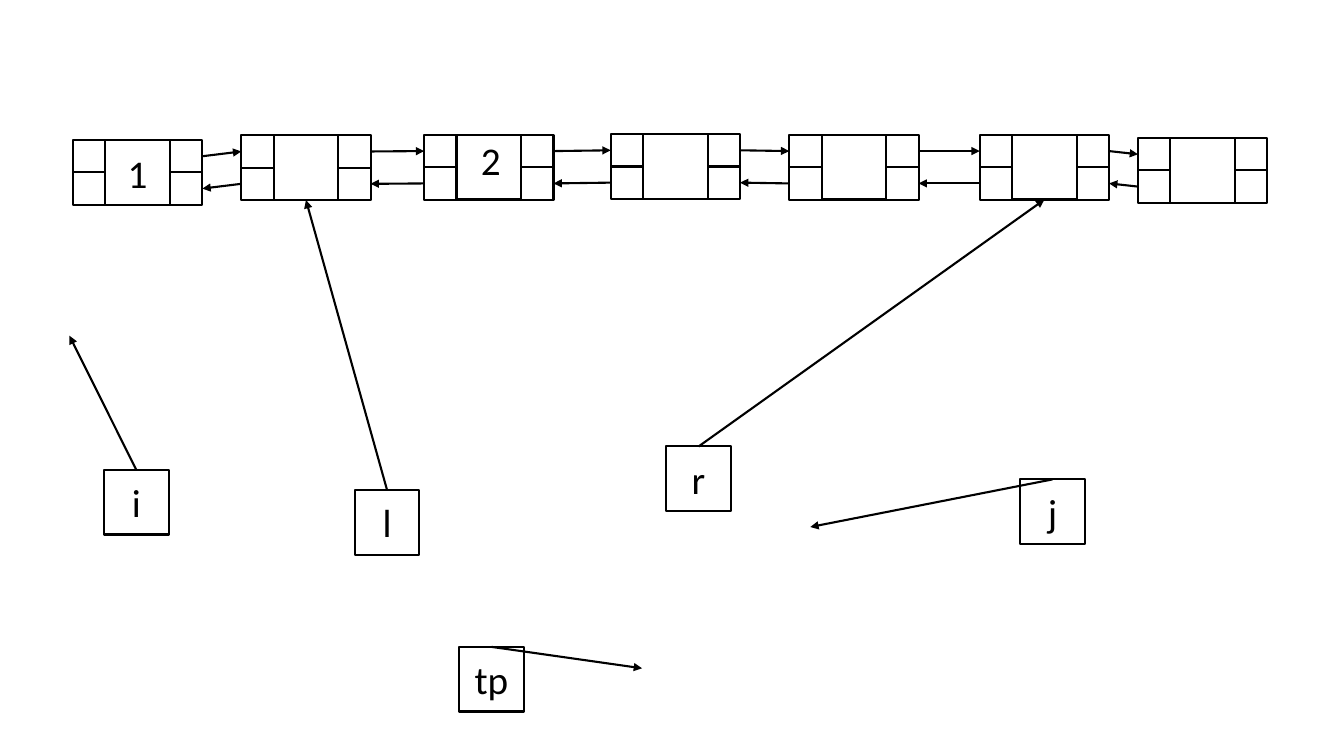
"""Draw a doubly linked list with the pointers i, l, r, j and tp."""
from lxml import etree
from pptx import Presentation
from pptx.dml.color import RGBColor
from pptx.enum.shapes import MSO_CONNECTOR, MSO_SHAPE
from pptx.enum.text import MSO_AUTO_SIZE, PP_ALIGN
from pptx.oxml.ns import qn
from pptx.util import Cm, Pt

RECTANGLE = MSO_SHAPE.RECTANGLE
STRAIGHT = MSO_CONNECTOR.STRAIGHT
CENTER = PP_ALIGN.CENTER
FIT_TEXT = MSO_AUTO_SIZE.SHAPE_TO_FIT_TEXT
TOP, LEFT, BOTTOM, RIGHT = range(4)

THEME = {"font": "Calibri", "size": Pt(28), "ink": RGBColor(0, 0, 0), "line": Pt(1.5)}

NODES = [
    (1.84, 3.53),
    (6.08, 3.41),
    (10.69, 3.4),
    (15.39, 3.38),
    (19.89, 3.4),
    (24.69, 3.4),
    (28.68, 3.48),
]
VALUES = [
    {"text": "2", "node": 2, "shift": (0.05, -0.08), "width": 1.02},
    {"text": "1", "node": 0, "shift": (0, 0.1), "width": 1.02},
]
POINTERS = [
    {"name": "l", "at": (8.94, 12.35), "width": 0.74, "node": 1},
    {"name": "r", "at": (16.79, 11.25), "width": 0.86, "node": 5},
    {"name": "j", "at": (25.71, 12.08), "width": 0.76, "tip": (20.42, 13.28)},
    {"name": "i", "at": (2.62, 11.84), "width": 0.76, "tip": (1.75, 8.46)},
    {"name": "tp", "at": (11.57, 16.3), "width": 1.37, "tip": (16.18, 16.84)},
]
BOX = 1.63
LINK = BOX / 2
LABEL_HEIGHT = 1.45
LABEL_DROP = 0.09


def add_box(shapes, x, y, side):
    box = shapes.add_shape(RECTANGLE, Cm(x), Cm(y), Cm(side), Cm(side))
    box.shadow.inherit = False
    box.fill.background()
    box.line.color.rgb = THEME["ink"]
    box.line.width = THEME["line"]
    return box


def add_label(shapes, text, center, y, width):
    label = shapes.add_textbox(Cm(center - width / 2), Cm(y), Cm(width), Cm(LABEL_HEIGHT))
    frame = label.text_frame
    frame.text = text
    frame.word_wrap = False
    frame.auto_size = FIT_TEXT
    paragraph = frame.paragraphs[0]
    paragraph.alignment = CENTER
    font = paragraph.runs[0].font
    font.name = THEME["font"]
    font.size = THEME["size"]
    font.color.rgb = THEME["ink"]


def add_arrow(shapes, start, start_side, tip=(0, 0), end=None, end_side=None):
    arrow = shapes.add_connector(STRAIGHT, 0, 0, Cm(tip[0]), Cm(tip[1]))
    arrow.begin_connect(start, start_side)
    if end is not None:
        arrow.end_connect(end, end_side)
    arrow.line.color.rgb = THEME["ink"]
    arrow.line.width = THEME["line"]
    etree.SubElement(arrow.line._get_or_add_ln(), qn("a:tailEnd"), type="triangle")
    etree.SubElement(arrow._element.spPr, qn("a:effectLst"))


def add_node(shapes, x, y):
    cells = shapes.add_group_shape().shapes
    node = {"value": add_box(cells, x + LINK, y, BOX)}
    for side, link_x in (("right", x + LINK + BOX), ("left", x)):
        for row, link_y in (("upper", y), ("lower", y + LINK)):
            node[side, row] = add_box(cells, link_x, link_y, LINK)
    return node


presentation = Presentation()
presentation.slide_width = Cm(33.87)
presentation.slide_height = Cm(19.05)
shapes = presentation.slides.add_slide(presentation.slide_layouts[6]).shapes

nodes = [add_node(shapes, x, y) for x, y in NODES]

for before, after in zip(nodes, nodes[1:]):
    add_arrow(shapes, before["right", "upper"], RIGHT,
              end=after["left", "upper"], end_side=LEFT)
    add_arrow(shapes, after["left", "lower"], LEFT,
              end=before["right", "lower"], end_side=RIGHT)

for value in VALUES:
    x, y = NODES[value["node"]]
    shift_x, shift_y = value["shift"]
    add_label(shapes, value["text"], x + BOX + shift_x, y + shift_y, value["width"])

for pointer in POINTERS:
    x, y = pointer["at"]
    parts = shapes.add_group_shape().shapes
    holder = add_box(parts, x, y, BOX)
    add_label(parts, pointer["name"], x + BOX / 2, y + LABEL_DROP, pointer["width"])
    if "node" in pointer:
        add_arrow(shapes, holder, TOP, end=nodes[pointer["node"]]["value"], end_side=BOTTOM)
    else:
        add_arrow(shapes, holder, TOP, tip=pointer["tip"])

presentation.save("out.pptx")
